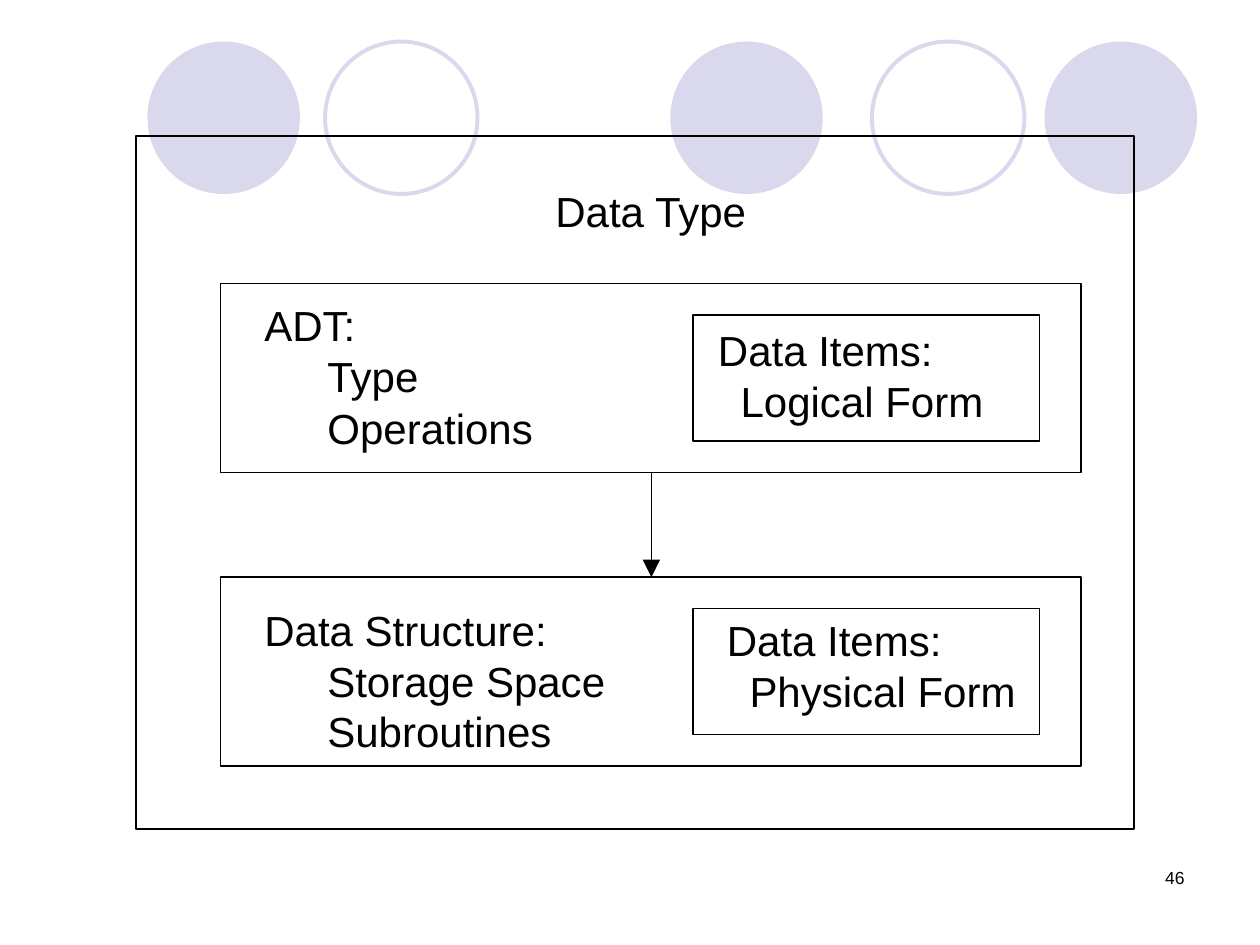
from pptx import Presentation
from pptx.dml.color import RGBColor
from pptx.enum.shapes import MSO_CONNECTOR, MSO_SHAPE
from pptx.enum.text import MSO_AUTO_SIZE, PP_ALIGN
from pptx.oxml.ns import qn
from pptx.util import Inches, Pt
from lxml.etree import SubElement

BLACK = RGBColor(0x00, 0x00, 0x00)
LILAC = RGBColor(0xD9, 0xD8, 0xEC)

deck = Presentation()
deck.slide_width = Inches(10)
deck.slide_height = Inches(7.5)
slide = deck.slides.add_slide(deck.slide_layouts[6])


def add_shape(kind, box, line=None, width=0.75, fill=None):
    shape = slide.shapes.add_shape(kind, *[Inches(v) for v in box])
    shape.shadow.inherit = False
    if fill is None:
        shape.fill.background()
    else:
        shape.fill.solid()
        shape.fill.fore_color.rgb = fill
    if line is None:
        shape.line.fill.background()
    else:
        shape.line.color.rgb = line
        shape.line.width = Pt(width)


def add_text(box, lines, indent=0, size=24, align=PP_ALIGN.LEFT,
             before=0, spacing=None, grow=True):
    label = slide.shapes.add_textbox(*[Inches(v) for v in box])
    frame = label.text_frame
    frame.word_wrap = True
    frame.auto_size = MSO_AUTO_SIZE.SHAPE_TO_FIT_TEXT if grow else MSO_AUTO_SIZE.NONE
    frame.text = "\n".join(lines)
    for row, para in enumerate(frame.paragraphs):
        para.alignment = align
        para.space_before = Pt(before)
        para.line_spacing = spacing
        para.font.name = "Arial"
        para.font.size = Pt(size)
        para.font.color.rgb = BLACK
        if row and indent:
            para._p.get_or_add_pPr().set("marL", str(Inches(indent)))


for left in (5.32, 8.29, 1.17):
    add_shape(MSO_SHAPE.OVAL, (left, 0.33, 1.21, 1.21), fill=LILAC)
for left in (6.92, 2.58):
    add_shape(MSO_SHAPE.OVAL, (left, 0.33, 1.21, 1.21), LILAC, 2.25)

add_text((7.17, 6.83, 2.33, 0.5), ["46"], size=10, align=PP_ALIGN.RIGHT, grow=False)

add_shape(MSO_SHAPE.RECTANGLE, (1.08, 1.08, 7.92, 5.5), BLACK)
add_text((2.83, 1.42, 4.67, 0.5), ["Data Type"], align=PP_ALIGN.CENTER, before=15)

for top in (2.25, 4.58):
    add_shape(MSO_SHAPE.RECTANGLE, (1.75, top, 6.83, 1.5), BLACK)
    add_shape(MSO_SHAPE.RECTANGLE, (5.5, top + 0.25, 2.75, 1), BLACK)

arrow = slide.shapes.add_connector(
    MSO_CONNECTOR.STRAIGHT, Inches(5.17), Inches(3.75), Inches(5.17), Inches(4.58))
arrow.line.color.rgb = BLACK
arrow.line.width = Pt(0.75)
SubElement(arrow.line._get_or_add_ln(), qn("a:tailEnd"),
           type="triangle", w="lg", len="lg")
SubElement(arrow._element.spPr, qn("a:effectLst"))

add_text((2, 2.5, 2.75, 1.12), ["ADT:", "Type", "Operations"],
         0.5, before=15, spacing=0.5)
add_text((5.6, 2.7, 2.74, 0.71), ["Data Items:", "Logical Form"],
         0.18, before=15, spacing=0.5)
add_text((5.67, 5, 2.75, 0.71), ["Data Items:", "Physical Form"],
         0.18, before=15, spacing=0.5)
add_text((2, 4.75, 3.1, 1.3), ["Data Structure:", "Storage Space", "Subroutines"], 0.5)

deck.save("out.pptx")
